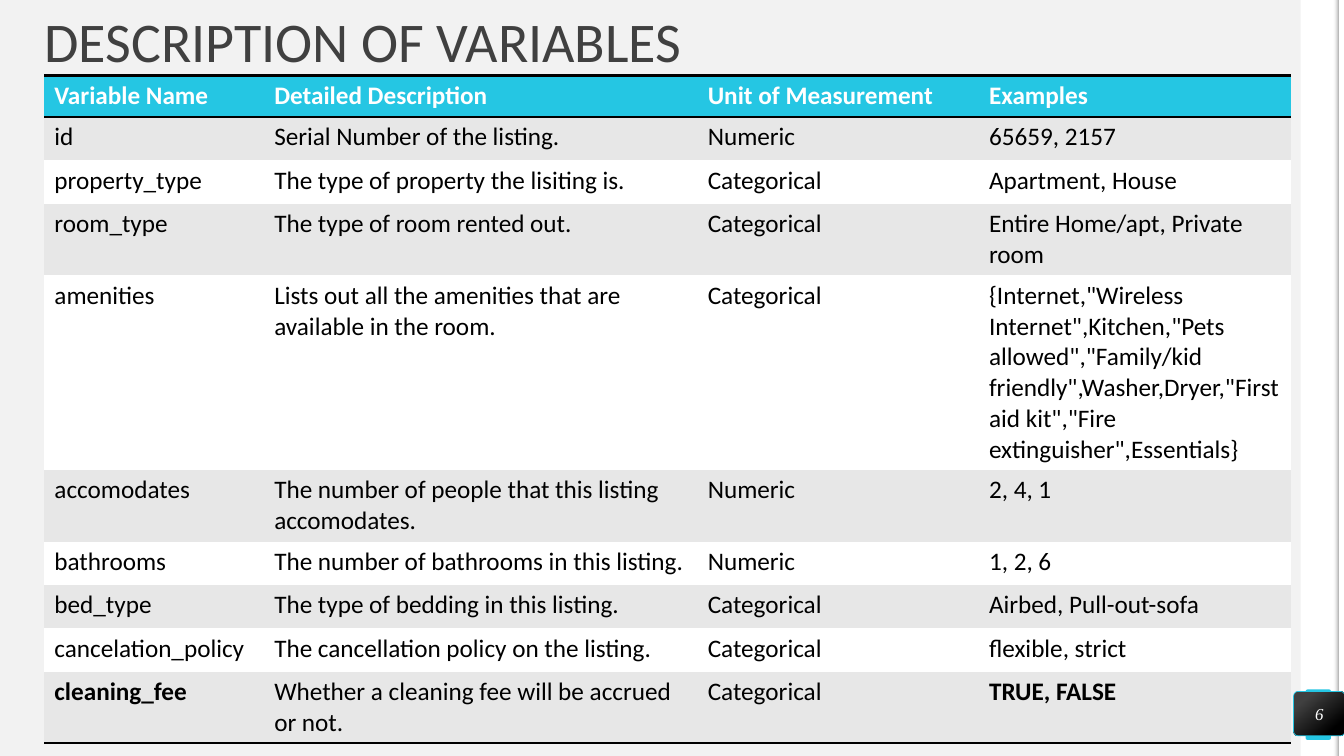
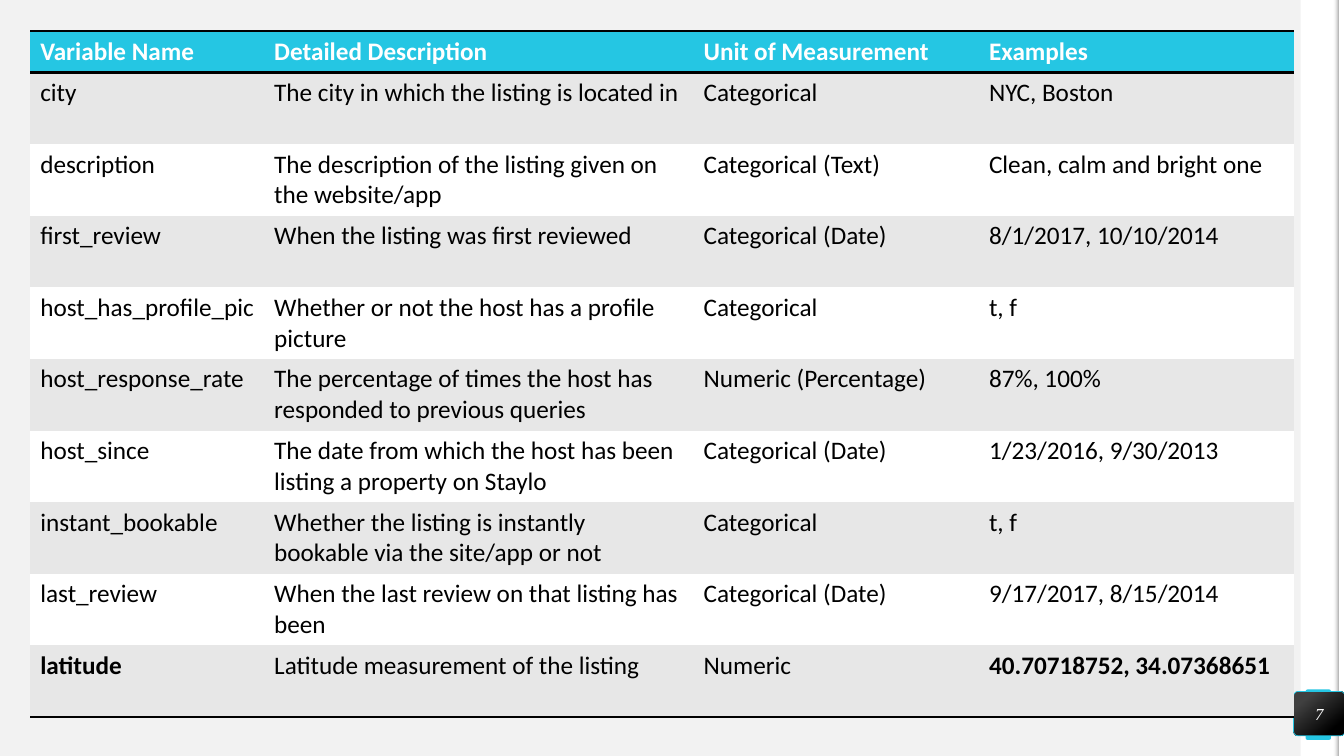
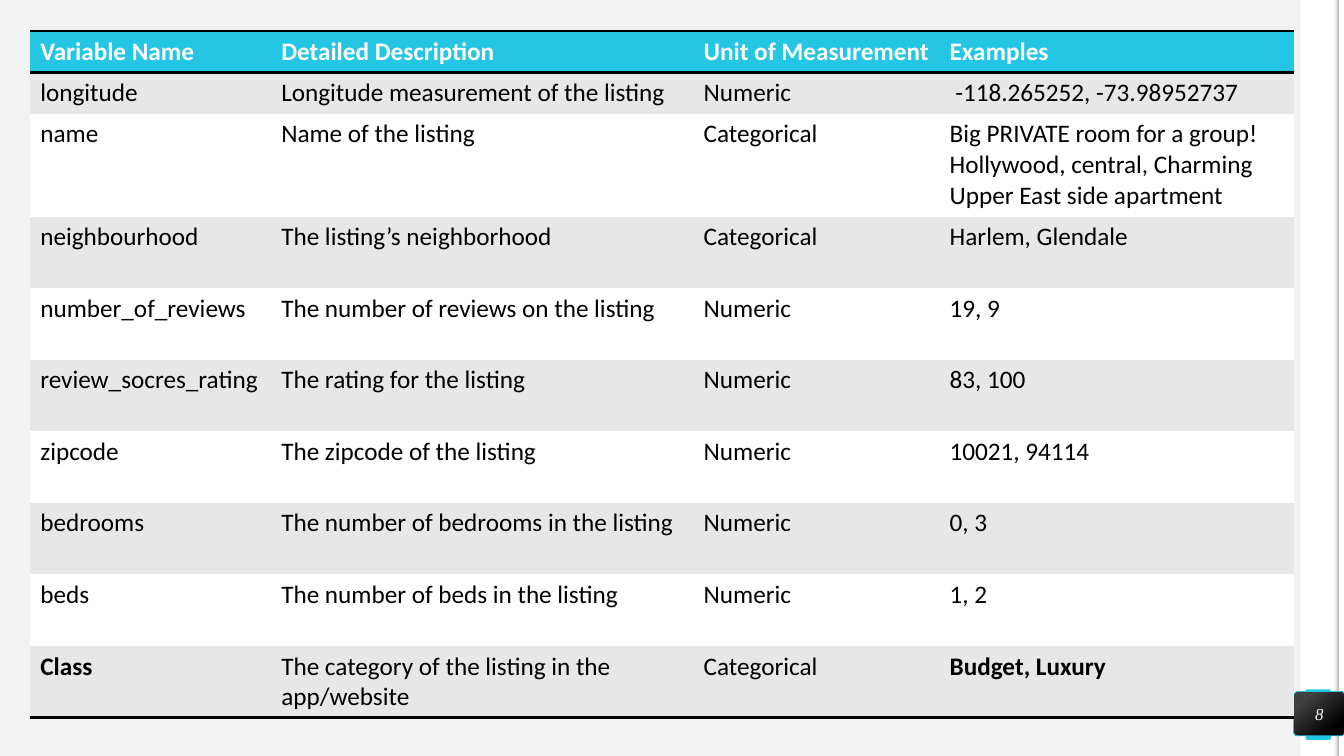
from lxml import etree
from pptx import Presentation
from pptx.dml.color import RGBColor
from pptx.enum.shapes import MSO_SHAPE
from pptx.enum.text import MSO_ANCHOR, MSO_AUTO_SIZE, PP_ALIGN
from pptx.oxml.ns import qn
from pptx.util import Inches, Pt

RECTANGLE, ROUNDED = MSO_SHAPE.RECTANGLE, MSO_SHAPE.ROUNDED_RECTANGLE
MIDDLE = MSO_ANCHOR.MIDDLE
NO_AUTOFIT = MSO_AUTO_SIZE.NONE
LEFT, CENTER = PP_ALIGN.LEFT, PP_ALIGN.CENTER

COLORS = {
    "background": "F2F2F2", "white": "FFFFFF", "black": "000000",
    "accent": "25C6E3", "dark": "404040", "shade": "A6A6A6", "stripe": "E7E7E7",
}
BODY_FONT, NUMBER_FONT = "Calibri", "Times New Roman"
PLAIN_TABLE_STYLE = "{2D5ABB26-0587-4C30-8999-92F81FD0307C}"
TITLE_ONLY, BLANK = 5, 6
FIRST_NUMBER = 6

HEADER = ("Variable Name", "Detailed Description", "Unit of Measurement", "Examples")

PAGES = [
    {
        "title": "DESCRIPTION OF VARIABLES",
        "corner": (0.44, 0.75),
        "columns": (2.18, 4.3, 2.79, 3.09),
        "heights": (0.41, 0.43, 0.43, 0.71, 1.93, 0.71, 0.43, 0.43, 0.43, 0.71),
        "rows": [
            ("id", "Serial Number of the listing.", "Numeric", "65659, 2157"),
            ("property_type", "The type of property the lisiting is.", "Categorical",
             "Apartment, House"),
            ("room_type", "The type of room rented out.", "Categorical",
             "Entire Home/apt, Private room"),
            ("amenities", "Lists out all the amenities that are available in the room.",
             "Categorical",
             '{Internet,"Wireless Internet",Kitchen,"Pets allowed","Family/kid friendly",'
             'Washer,Dryer,"First aid kit","Fire extinguisher",Essentials}'),
            ("accomodates", "The number of people that this listing accomodates.",
             "Numeric", "2, 4, 1"),
            ("bathrooms", "The number of bathrooms in this listing.", "Numeric", "1, 2, 6"),
            ("bed_type", "The type of bedding in this listing.", "Categorical",
             "Airbed, Pull-out-sofa"),
            ("cancelation_policy", "The cancellation policy on the listing.",
             "Categorical", "flexible, strict"),
            ("cleaning_fee", "Whether a cleaning fee will be accrued or not.",
             "Categorical", "TRUE, FALSE"),
        ],
    },
    {
        "corner": (0.3, 0.31),
        "columns": (2.32, 4.26, 2.83, 3.12),
        "heights": (0.41,) + (0.71,) * 9,
        "rows": [
            ("city", "The city in which the listing is located in", "Categorical",
             "NYC, Boston"),
            ("description", "The description of the listing given on the website/app",
             "Categorical (Text)", "Clean, calm and bright one"),
            ("first_review", "When the listing was first reviewed",
             "Categorical (Date)", "8/1/2017, 10/10/2014"),
            ("host_has_profile_pic", "Whether or not the host has a profile picture",
             "Categorical", "t, f"),
            ("host_response_rate",
             "The percentage of times the host has responded to previous queries",
             "Numeric (Percentage)", "87%, 100%"),
            ("host_since",
             "The date from which the host has been listing a property on Staylo",
             "Categorical (Date)", "1/23/2016, 9/30/2013"),
            ("instant_bookable",
             "Whether the listing is instantly bookable via the site/app or not",
             "Categorical", "t, f"),
            ("last_review", "When the last review on that listing has been",
             "Categorical (Date)", "9/17/2017, 8/15/2014"),
            ("latitude", "Latitude measurement of the listing", "Numeric",
             "40.70718752, 34.07368651"),
        ],
    },
    {
        "corner": (0.3, 0.31),
        "columns": (2.39, 4.19, 2.44, 3.51),
        "heights": (0.41, 0.41, 1.02) + (0.71,) * 7,
        "rows": [
            ("longitude", "Longitude measurement of the listing", "Numeric",
             " -118.265252, -73.98952737"),
            ("name", "Name of the listing", "Categorical",
             "Big PRIVATE room for a group! Hollywood, central, "
             "Charming Upper East side apartment"),
            ("neighbourhood", "The listing’s neighborhood", "Categorical",
             "Harlem, Glendale"),
            ("number_of_reviews", "The number of reviews on the listing", "Numeric",
             "19, 9"),
            ("review_socres_rating", "The rating for the listing", "Numeric", "83, 100"),
            ("zipcode", "The zipcode of the listing", "Numeric", "10021, 94114"),
            ("bedrooms", "The number of bedrooms in the listing", "Numeric", "0, 3"),
            ("beds", "The number of beds in the listing", "Numeric", "1, 2"),
            ("Class", "The category of the listing in the app/website", "Categorical",
             "Budget, Luxury"),
        ],
    },
]


def rgb(name):
    """Return the named colour."""
    return RGBColor.from_string(COLORS[name])


def set_font(para, name, size, color, bold=False, italic=False):
    """Set the font of a whole paragraph."""
    font = para.font
    font.name, font.size, font.bold, font.italic = name, Pt(size), bold, italic
    font.color.rgb = rgb(color)


def clear_insets(frame):
    """Centre a text frame vertically and take away its margins."""
    frame.margin_left = frame.margin_top = frame.margin_right = frame.margin_bottom = 0
    frame.vertical_anchor = MIDDLE


def add_box(page, kind, place, fill=None, radius=None):
    """Add a plain shape without line or shadow."""
    box = page.shapes.add_shape(kind, *(Inches(length) for length in place))
    box.shadow.inherit = False
    box.line.fill.background()
    if radius is not None:
        box.adjustments[0] = radius
    if fill:
        box.fill.solid()
        box.fill.fore_color.rgb = rgb(fill)
    return box


def fill_gradient(box, angle, stops):
    """Fill a shape with a two-stop linear gradient."""
    box.fill.gradient()
    box.fill.gradient_angle = angle
    for stop, (position, color) in zip(box.fill.gradient_stops, stops):
        stop.position = position
        stop.color.rgb = rgb(color)


def build_master(master, page):
    """Give the master its background and the band at the right edge."""
    master.background.fill.solid()
    master.background.fill.fore_color.rgb = rgb("background")
    strip = add_box(page, RECTANGLE, (12.9, 0, 0.39, 7.5), "white")
    tab = add_box(page, ROUNDED, (12.95, 6.84, 0.25, 0.5), "accent", 0.07)
    edge = add_box(page, RECTANGLE, (13.28, 0, 0.05, 7.5), "white")
    shade = add_box(page, RECTANGLE, (13.23, 0, 0.05, 7.5))
    fill_gradient(shade, 0, [(0, "background"), (1, "shade")])
    first_color = shade.element.xpath(".//a:gs/a:srgbClr")[0]
    etree.SubElement(first_color, qn("a:alpha"), val="0")
    for number, box in enumerate((strip, tab, edge, shade), 101):
        box.element.xpath(".//p:cNvPr")[0].set("id", str(number))
        master.shapes.element.append(box.element)


def add_title(page, text):
    """Place and format the title."""
    title = page.shapes.title
    title.left, title.top = Inches(0.44), Inches(0.21)
    title.width, title.height = Inches(12.39), Inches(0.47)
    frame = title.text_frame
    frame.text = text
    frame.auto_size = NO_AUTOFIT
    clear_insets(frame)
    para = frame.paragraphs[0]
    para.alignment, para.line_spacing = LEFT, 0.9
    set_font(para, BODY_FONT, 40, "dark")


def add_number(page, number):
    """Add the page number badge."""
    badge = add_box(page, ROUNDED, (12.83, 6.86, 0.51, 0.44), radius=0.1)
    fill_gradient(badge, 310, [(0.2, "dark"), (0.82, "black")])
    badge.line.color.rgb = rgb("accent")
    badge.line.width = Pt(0.5)
    clear_insets(badge.text_frame)
    para = badge.text_frame.paragraphs[0]
    para.text = str(number)
    para.alignment = CENTER
    set_font(para, NUMBER_FONT, 12, "white", italic=True)


def add_border(cell, side):
    """Draw a black border on one side of a cell."""
    border = etree.Element(qn(f"a:{side}"), w=str(Pt(2)))
    fill = etree.SubElement(border, qn("a:solidFill"))
    etree.SubElement(fill, qn("a:srgbClr"), val=COLORS["black"])
    cell._tc.get_or_add_tcPr().insert(0, border)


def fill_cell(cell, text, fill, color, bold):
    """Write and colour one cell."""
    cell.fill.solid()
    cell.fill.fore_color.rgb = rgb(fill)
    para = cell.text_frame.paragraphs[0]
    para.text = text
    set_font(para, BODY_FONT, 18, color, bold)


def add_variable_table(page, corner, columns, heights, rows):
    """Add a striped table of variables with a strong last row."""
    size = (sum(columns), sum(heights))
    frame = page.shapes.add_table(
        len(heights), len(columns), *(Inches(length) for length in corner + size))
    frame.element.xpath(".//a:tableStyleId")[0].text = PLAIN_TABLE_STYLE
    table = frame.table
    table.horz_banding = False
    for column, width in zip(table.columns, columns):
        column.width = Inches(width)
    last_row, last_column = len(rows), len(columns) - 1
    for i, texts in enumerate([HEADER] + rows):
        table.rows[i].height = Inches(heights[i])
        fill = "accent" if i == 0 else "stripe" if i % 2 else "white"
        color = "white" if i == 0 else "black"
        for j, text in enumerate(texts):
            cell = table.cell(i, j)
            bold = i == 0 or (i == last_row and j in (0, last_column))
            fill_cell(cell, text, fill, color, bold)
            if i in (0, last_row):
                add_border(cell, "lnB")
            if i == 0:
                add_border(cell, "lnT")


def main():
    """Build and save the deck."""
    deck = Presentation()
    deck.slide_width, deck.slide_height = Inches(13.33), Inches(7.5)
    for number, content in enumerate(PAGES, FIRST_NUMBER):
        title = content.get("title")
        page = deck.slides.add_slide(deck.slide_layouts[TITLE_ONLY if title else BLANK])
        if number == FIRST_NUMBER:
            build_master(deck.slide_master, page)
        if title:
            add_title(page, title)
        add_number(page, number)
        add_variable_table(page, content["corner"], content["columns"],
                           content["heights"], content["rows"])
    deck.save("out.pptx")


if __name__ == "__main__":
    main()
